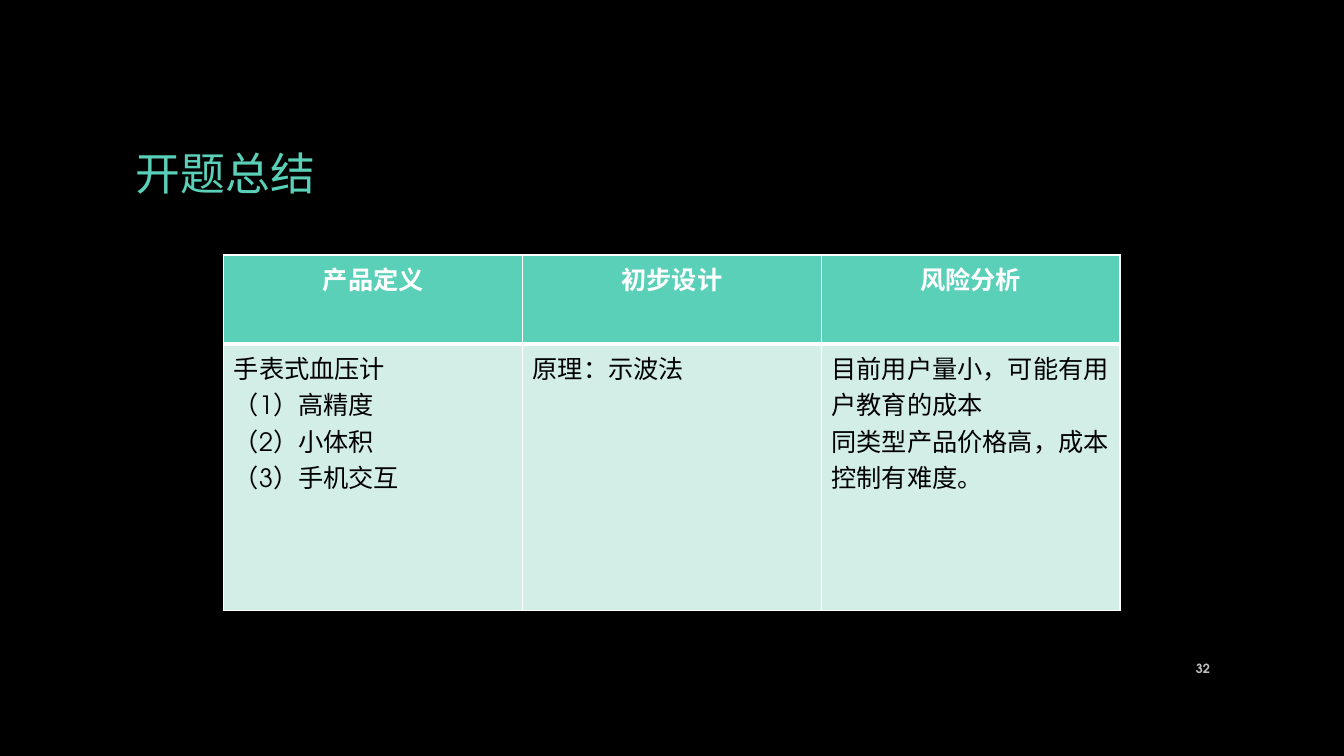
from dataclasses import dataclass

from lxml import etree
from pptx import Presentation
from pptx.dml.color import RGBColor
from pptx.enum.text import MSO_ANCHOR, PP_ALIGN
from pptx.oxml.ns import qn
from pptx.util import Inches, Pt

LEFT, CENTER, RIGHT = PP_ALIGN.LEFT, PP_ALIGN.CENTER, PP_ALIGN.RIGHT
MIDDLE = MSO_ANCHOR.MIDDLE


@dataclass(frozen=True)
class Theme:
    font: str = "TeX Gyre Adventor"
    background: str = "000000"
    accent: str = "5AD0B8"
    body_fill: str = "D2EEE6"
    body_text: str = "000000"
    white: str = "FFFFFF"
    muted: str = "BFBFBF"
    title_size: int = 32
    table_size: int = 18
    number_size: int = 9
    thin: int = 1
    thick: int = 3


THEME = Theme()
HEADERS = ["产品定义", "初步设计", "风险分析"]
DETAILS = [
    "手表式血压计\n（1）高精度\n（2）小体积\n（3）手机交互",
    "原理：示波法",
    "目前用户量小，可能有用户教育的成本\n同类型产品价格高，成本控制有难度。",
]
HEADER_SHARE = 0.25


def rgb(value):
    return RGBColor.from_string(value)


def write(tf, text, size, color, bold=False, align=LEFT):
    tf.text = text
    for p in tf.paragraphs:
        p.alignment = align
        for r in p.runs:
            r.font.name = THEME.font
            r.font.size = Pt(size)
            r.font.bold = bold
            r.font.color.rgb = rgb(color)


def add_text(slide, box, text, size, color, **style):
    tf = slide.shapes.add_textbox(*box).text_frame
    tf.word_wrap = True
    tf.vertical_anchor = MIDDLE
    write(tf, text, size, color, **style)


def set_borders(cell, top, bottom):
    """Draw white cell edges; top and bottom are widths in points."""
    tc_pr = cell._tc.get_or_add_tcPr()
    edges = {"L": THEME.thin, "R": THEME.thin, "T": top, "B": bottom}
    for i, (side, width) in enumerate(edges.items()):
        ln = etree.Element(qn(f"a:ln{side}"), w=str(Pt(width)))
        fill = etree.SubElement(ln, qn("a:solidFill"))
        etree.SubElement(fill, qn("a:srgbClr"), val=THEME.white)
        tc_pr.insert(i, ln)


def fill_cell(cell, text, fill, color, top, bottom, **style):
    cell.fill.solid()
    cell.fill.fore_color.rgb = rgb(fill)
    set_borders(cell, top, bottom)
    write(cell.text_frame, text, THEME.table_size, color, **style)


def add_summary_table(slide, box):
    table = slide.shapes.add_table(2, len(HEADERS), *box).table
    height = box[3]
    table.rows[0].height = int(height * HEADER_SHARE)
    table.rows[1].height = height - table.rows[0].height
    for col, (header, detail) in enumerate(zip(HEADERS, DETAILS)):
        fill_cell(table.cell(0, col), header, THEME.accent, THEME.white,
                  THEME.thin, THEME.thick, bold=True, align=CENTER)
        fill_cell(table.cell(1, col), detail, THEME.body_fill, THEME.body_text,
                  THEME.thick, THEME.thin)


def add_summary_slide(prs):
    def box(*inches):
        return [Inches(v) for v in inches]

    slide = prs.slides.add_slide(prs.slide_layouts[6])
    slide.background.fill.solid()
    slide.background.fill.fore_color.rgb = rgb(THEME.background)
    add_text(slide, box(1.25, 0.67, 10.83, 2.08), "开题总结",
             THEME.title_size, THEME.accent)
    add_summary_table(slide, box(2.22, 2.53, 8.89, 3.53))
    add_text(slide, box(11.5, 6.43, 0.6, 0.4), "32",
             THEME.number_size, THEME.muted, bold=True, align=RIGHT)


def main():
    prs = Presentation()
    prs.slide_width, prs.slide_height = Inches(13.33), Inches(7.5)
    add_summary_slide(prs)
    prs.save("out.pptx")


if __name__ == "__main__":
    main()
